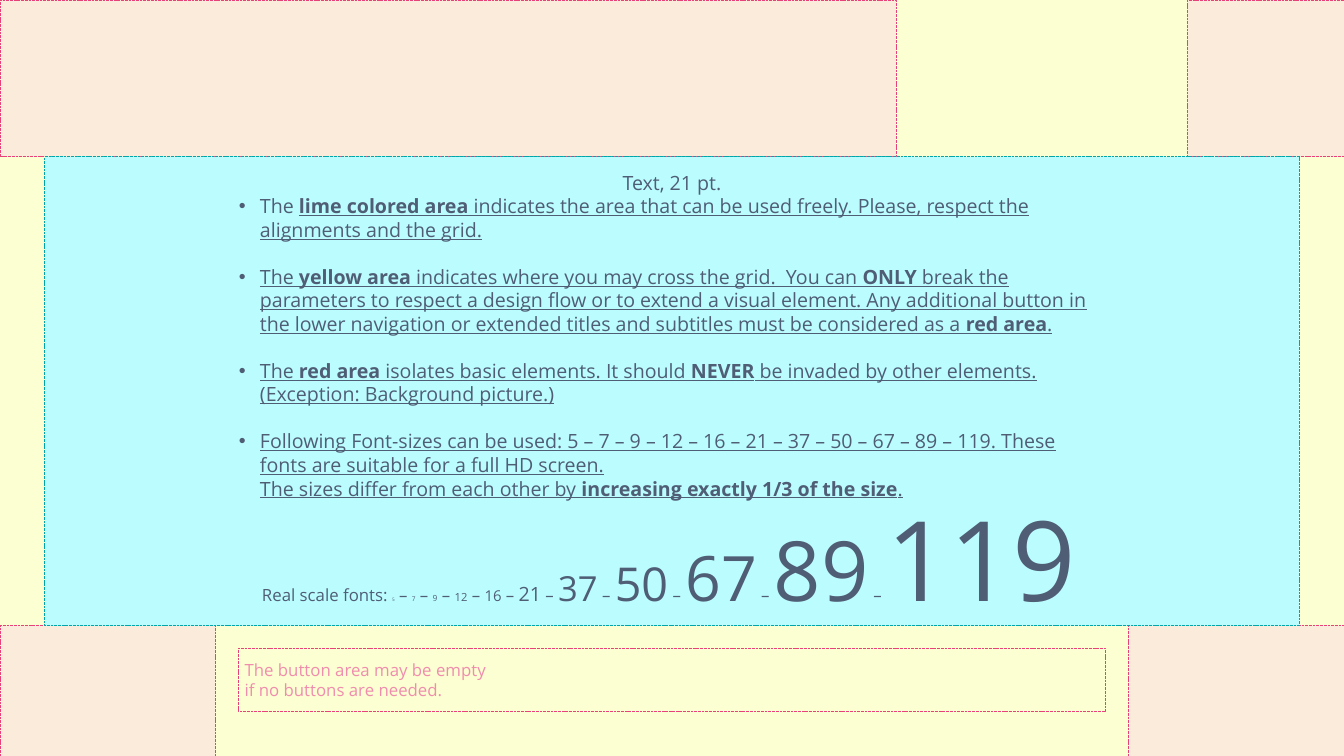
import pptx
import pptx.dml.color
import pptx.enum.dml
import pptx.enum.shapes
import pptx.enum.text
import pptx.util
from lxml import etree

Pt = pptx.util.Pt
ALIGN = pptx.enum.text.PP_ALIGN
ANCHOR = pptx.enum.text.MSO_ANCHOR
NS = "http://schemas.openxmlformats.org/drawingml/2006/main"

FONT = "Open Sans"
SLATE, PINK, RED, ROSE = "4F5D75", "F08DAF", "E64179", "FAD9E4"
LIME, AQUA, TEAL = "F8FF8B", "BBFDFF", "00A5A9"

W, H = 1440, 810
TOP_H, BOTTOM_Y = 168, 670.5
CORNER_W, CORNER_H = 231, 139.5
MARGIN = 48

# left, top, width, height, fill, opacity in percent, line
AREAS = [
    (0, 0, W, H, LIME, 39, None),
    (0, 0, 960, TOP_H, ROSE, 52, RED),
    (W - TOP_H, 0, TOP_H, TOP_H, ROSE, 52, RED),
    (0, BOTTOM_Y, CORNER_W, CORNER_H, ROSE, 52, RED),
    (W - CORNER_W, BOTTOM_Y, CORNER_W, CORNER_H, ROSE, 52, RED),
    (MARGIN, TOP_H, W - 2 * MARGIN, BOTTOM_Y - TOP_H, AQUA, 100, TEAL),
]

HEADING = "Text, 21 pt."
# ** switches bold on and off
RULES = [
    "The **lime colored area **indicates the area that can be used freely. "
    "Please, respect the alignments and the grid.",
    "The **yellow area** indicates where you may cross the grid.  You can **ONLY** break the "
    "parameters to respect a design flow or to extend a visual element. Any additional button "
    "in the lower navigation or extended titles and subtitles must be considered as a "
    "**red area**.",
    "The **red area** isolates basic elements. It should **NEVER** be invaded by other "
    "elements. (Exception: Background picture.)",
    "Following Font-sizes can be used: 5 – 7 – 9 – 12 – 16 – 21 – 37 – 50 – 67 – 89 – 119. "
    "These fonts are suitable for a full HD screen.\nThe sizes differ from each other by "
    "**increasing exactly 1/3 of the size**.",
]
SCALE_LABEL = "Real scale fonts: "
SIZES = [5, 7, 9, 12, 16, 21, 37, 50, 67, 89, 119]
BUTTON_NOTE = ["The button area may be empty", "if no buttons are needed."]

TEXT_SIZE, TEXT_PITCH = 21, 25.2
NOTE_SIZE, NOTE_PITCH = 18, 21.5
INDENT = 22.5


def rgb(value):
    return pptx.dml.color.RGBColor.from_string(value)


def add_area(slide, left, top, width, height, fill, opacity, line):
    sp = slide.shapes.add_shape(pptx.enum.shapes.MSO_SHAPE.RECTANGLE,
                                Pt(left), Pt(top), Pt(width), Pt(height))
    sp.shadow.inherit = False
    if fill:
        sp.fill.solid()
        sp.fill.fore_color.rgb = rgb(fill)
        if opacity < 100:
            color = sp.fill._xPr.find(f".//{{{NS}}}srgbClr")
            etree.SubElement(color, f"{{{NS}}}alpha", val=str(opacity * 1000))
    else:
        sp.fill.background()
    if line:
        sp.line.color.rgb = rgb(line)
        sp.line.width = Pt(1)
        sp.line.dash_style = pptx.enum.dml.MSO_LINE.SQUARE_DOT
    else:
        sp.line.fill.background()
    return sp


def add_text_box(slide, left, top, width, height):
    tf = slide.shapes.add_textbox(Pt(left), Pt(top), Pt(width), Pt(height)).text_frame
    tf.word_wrap = True
    tf.auto_size = pptx.enum.text.MSO_AUTO_SIZE.SHAPE_TO_FIT_TEXT
    return tf


def add_run(p, text, size, color=SLATE, bold=False, underline=False):
    r = p.add_run()
    r.text = text
    r.font.name = FONT
    r.font.size = Pt(size)
    r.font.color.rgb = rgb(color)
    r.font.bold = bold
    r.font.underline = underline


def set_bullet(p):
    pPr = p._p.get_or_add_pPr()
    pPr.set("marL", str(Pt(INDENT)))
    pPr.set("indent", str(-Pt(INDENT)))
    etree.SubElement(pPr, f"{{{NS}}}buFont", typeface="Arial")
    etree.SubElement(pPr, f"{{{NS}}}buChar", char="•")


def add_rules(slide):
    tf = add_text_box(slide, 249, 179.3, 942, 363.6)
    p = tf.paragraphs[0]
    p.alignment = ALIGN.CENTER
    p.line_spacing = Pt(TEXT_PITCH)
    add_run(p, HEADING, TEXT_SIZE)
    for i, rule in enumerate(RULES):
        p = tf.add_paragraph()
        p.line_spacing = Pt(TEXT_PITCH)
        if i:
            p.space_before = Pt(TEXT_PITCH)
        set_bullet(p)
        for j, part in enumerate(rule.split("**")):
            for k, text in enumerate(part.split("\n")):
                if k:
                    p.add_line_break()
                # only the very first word is not underlined
                add_run(p, text, TEXT_SIZE, bold=j % 2 == 1, underline=i + j > 0)


def add_size_scale(slide):
    p = add_text_box(slide, 273.6, 522, 893.5, 151.2).paragraphs[0]
    add_run(p, SCALE_LABEL, NOTE_SIZE)
    for i, size in enumerate(SIZES):
        if i:
            add_run(p, " – ", NOTE_SIZE)
        add_run(p, str(size), size)


def add_button_area(slide):
    tf = add_area(slide, 255, 694.8, 930, 67.7, None, 100, RED).text_frame
    tf.word_wrap = True
    tf.vertical_anchor = ANCHOR.MIDDLE
    for i, line in enumerate(BUTTON_NOTE):
        p = tf.add_paragraph() if i else tf.paragraphs[0]
        p.alignment = ALIGN.LEFT
        p.line_spacing = Pt(NOTE_PITCH)
        add_run(p, line, NOTE_SIZE, PINK)


def main():
    prs = pptx.Presentation()
    prs.slide_width, prs.slide_height = Pt(W), Pt(H)
    slide = prs.slides.add_slide(prs.slide_layouts[6])
    for area in AREAS:
        add_area(slide, *area)
    add_rules(slide)
    add_size_scale(slide)
    add_button_area(slide)
    prs.save("out.pptx")


if __name__ == "__main__":
    main()
